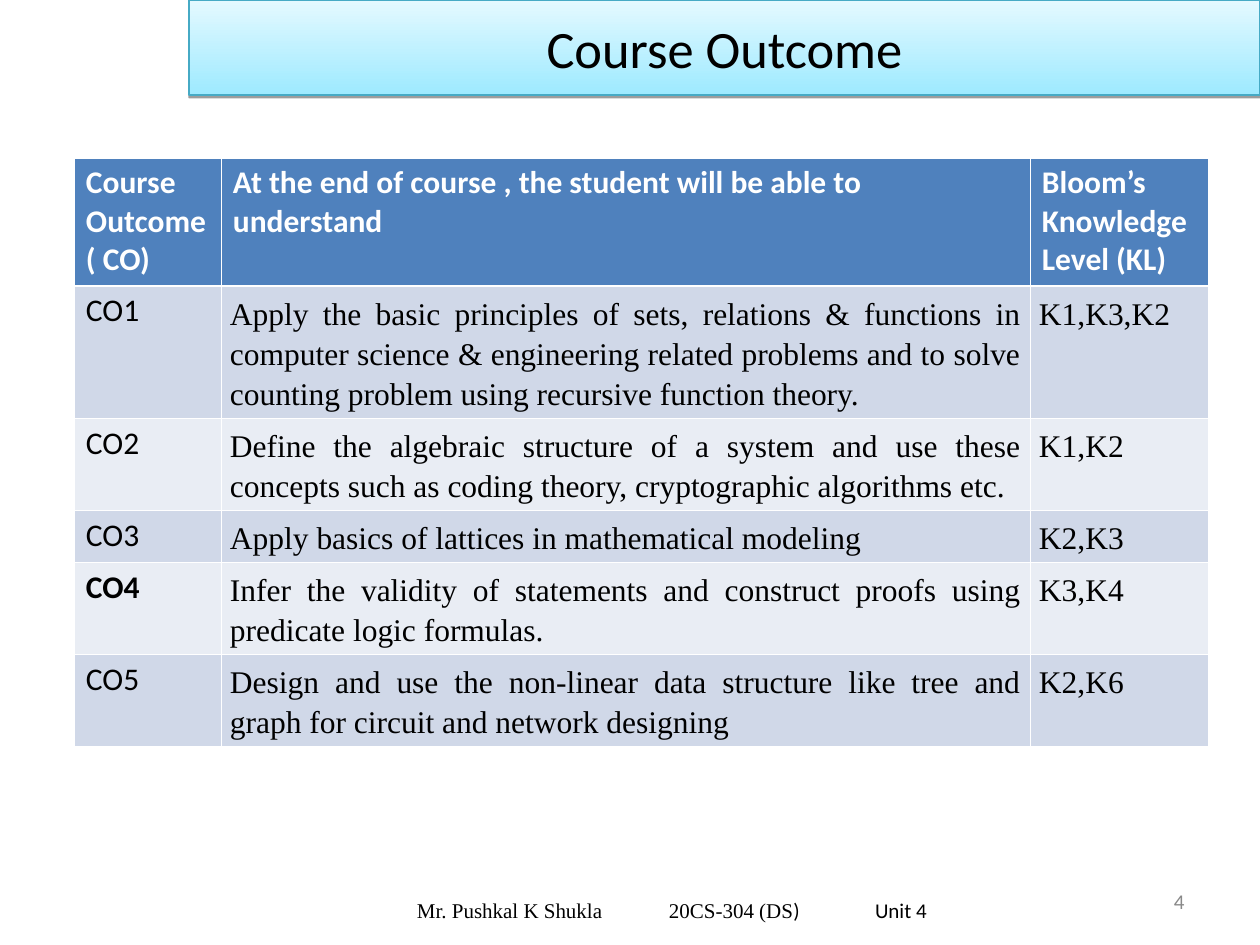
from lxml import etree
from pptx import Presentation
from pptx.dml.color import RGBColor
from pptx.enum.text import MSO_ANCHOR, PP_ALIGN
from pptx.oxml import parse_xml
from pptx.oxml.ns import nsdecls, qn
from pptx.util import Emu, Pt

LEFT, CENTER, RIGHT = PP_ALIGN.LEFT, PP_ALIGN.CENTER, PP_ALIGN.RIGHT
JUSTIFY = PP_ALIGN.JUSTIFY
MIDDLE, TOP = MSO_ANCHOR.MIDDLE, MSO_ANCHOR.TOP
EMU_PER_PX = 914400 / 126
SANS, SERIF = "Calibri", "Times New Roman"
COLORS = {
    "ink": "000000", "white": "FFFFFF", "muted": "898989",
    "header": "4F81BD", "odd_row": "D0D8E8", "even_row": "E9EDF4",
    "banner_bottom": "9EEAFF", "banner_top": "E4F9FF", "banner_line": "46AAC5",
}

HEADINGS = [
    "Course Outcome ( CO)",
    "At the end of course , the student will be able to understand",
    "Bloom’s Knowledge Level (KL)",
]
OUTCOMES = [
    ("CO1", "Apply the basic principles of sets, relations & functions in computer "
            "science & engineering related problems and to solve counting problem "
            "using recursive function theory.", "K1,K3,K2"),
    ("CO2", "Define the algebraic structure of a system and use these concepts such "
            "as coding theory, cryptographic algorithms etc.", "K1,K2"),
    ("CO3", "Apply basics of lattices in mathematical modeling", "K2,K3"),
    ("CO4", "Infer the validity of statements and construct proofs using predicate "
            "logic formulas.", "K3,K4"),
    ("CO5", "Design and use the non-linear data structure like tree and graph for "
            "circuit and network designing", "K2,K6"),
]
CURRENT_OUTCOME = "CO4"
COLUMN_WIDTHS = [147, 809, 178]
ROW_HEIGHTS = [128, 130, 87, 52, 87, 86]


def px(length):
    return Emu(round(length * EMU_PER_PX))


def color(name):
    return RGBColor.from_string(COLORS[name])


def write(frame, text, size=18, font=SANS, ink="ink", bold=False, align=LEFT,
          line_spacing=None, space_after=None):
    """Append a run to the frame's paragraph and format both."""
    paragraph = frame.paragraphs[0]
    paragraph.alignment = align
    if line_spacing:
        paragraph.line_spacing = line_spacing
    if space_after:
        paragraph.space_after = Pt(space_after)
    run = paragraph.add_run()
    run.text = text
    run.font.size, run.font.name, run.font.bold = Pt(size), font, bold
    run.font.color.rgb = color(ink)


def add_text_frame(slide, box):
    frame = slide.shapes.add_textbox(*map(px, box)).text_frame
    frame.word_wrap = True
    frame.vertical_anchor = MIDDLE
    return frame


def add_banner(slide, box):
    banner = slide.shapes.title
    banner.left, banner.top, banner.width, banner.height = map(px, box)
    banner.fill.gradient()
    banner.fill.gradient_angle = 90
    for stop, name in zip(banner.fill.gradient_stops, ("banner_bottom", "banner_top")):
        stop.color.rgb = color(name)
    banner.line.color.rgb = color("banner_line")
    banner.line.width = Pt(0.75)
    banner._element.spPr.append(parse_xml(
        f'<a:effectLst {nsdecls("a")}>'
        '<a:outerShdw blurRad="0" dist="20000" dir="5400000" rotWithShape="0">'
        '<a:srgbClr val="000000"><a:alpha val="38000"/></a:srgbClr>'
        '</a:outerShdw></a:effectLst>'))
    banner.text_frame.vertical_anchor = MIDDLE
    write(banner.text_frame, "Course Outcome", size=30, align=CENTER)


def set_borders(cell, **widths):
    """Draw white borders; widths maps the sides L, R, T and B to points."""
    properties = cell._tc.get_or_add_tcPr()
    for side, width in widths.items():
        border = etree.SubElement(properties, qn(f"a:ln{side}"), w=str(Pt(width)))
        fill = etree.SubElement(border, qn("a:solidFill"))
        etree.SubElement(fill, qn("a:srgbClr"), val=COLORS["white"])


def format_cell(cell, fill, side_margin, **borders):
    set_borders(cell, **borders)
    cell.fill.solid()
    cell.fill.fore_color.rgb = color(fill)
    cell.margin_left = cell.margin_right = px(side_margin)
    cell.margin_top = cell.margin_bottom = px(6)
    cell.vertical_anchor = TOP


def add_outcome_table(slide, left, top):
    rows = [HEADINGS, *OUTCOMES]
    table = slide.shapes.add_table(
        len(rows), len(HEADINGS), px(left), px(top),
        px(sum(COLUMN_WIDTHS)), px(sum(ROW_HEIGHTS))).table
    for column, width in zip(table.columns, COLUMN_WIDTHS):
        column.width = px(width)
    for row, height in zip(table.rows, ROW_HEIGHTS):
        row.height = px(height)

    thin, thick = 0.45, 1.47
    for r, texts in enumerate(rows):
        fill = "header" if r == 0 else "odd_row" if r % 2 else "even_row"
        for c, text in enumerate(texts):
            cell = table.cell(r, c)
            is_detail = r > 0 and c > 0
            format_cell(cell, fill, 9 if is_detail else 12, L=thin, R=thin,
                        T=thick if r == 1 else thin, B=thick if r == 0 else thin)
            if is_detail:
                write(cell.text_frame, text, font=SERIF, align=JUSTIFY,
                      line_spacing=1.15, space_after=10)
            else:
                write(cell.text_frame, text, ink="ink" if r else "white",
                      bold=r == 0 or text == CURRENT_OUTCOME)


def add_footer(slide, box):
    footer = add_text_frame(slide, box)
    footer.margin_left = px(92)
    write(footer, "Mr. Pushkal K Shukla\t20CS-304 (DS", size=12, font=SERIF)
    write(footer, ")\tUnit 4", size=12)
    tabs = etree.SubElement(footer.paragraphs[0]._p.get_or_add_pPr(), qn("a:tabLst"))
    for stop in (252, 458):
        etree.SubElement(tabs, qn("a:tab"), pos=str(px(stop)), algn="l")


def add_page_number(slide, box):
    write(add_text_frame(slide, box), "4", size=12, ink="muted", align=RIGHT)


def main():
    deck = Presentation()
    deck.slide_width, deck.slide_height = px(1260), px(945)
    slide = deck.slides.add_slide(deck.slide_layouts[5])
    add_outcome_table(slide, 74, 158)
    add_page_number(slide, (903, 876, 294, 50))
    add_banner(slide, (189, 0, 1071, 95))
    add_footer(slide, (325, 885, 693, 50))
    deck.save("out.pptx")


if __name__ == "__main__":
    main()
